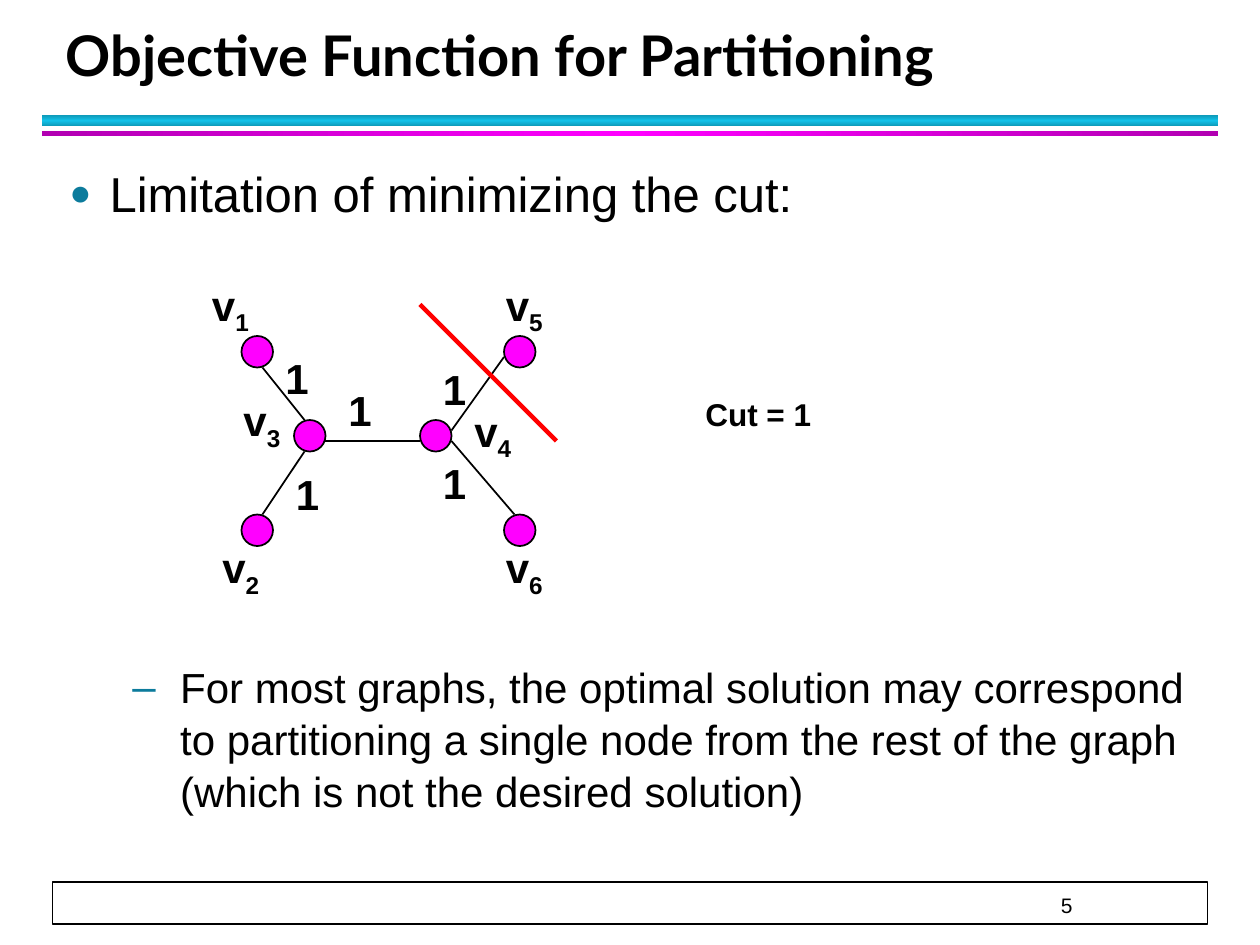
from copy import deepcopy

from lxml.etree import SubElement as Sub
from pptx import Presentation
from pptx.dml.color import RGBColor
from pptx.enum.shapes import MSO_CONNECTOR as Link, MSO_SHAPE as Form
from pptx.enum.text import MSO_ANCHOR as Anchor, MSO_AUTO_SIZE as Fit, PP_ALIGN as Align
from pptx.oxml.ns import qn
from pptx.util import Inches, Pt

BLACK = RGBColor(0, 0, 0)
WHITE = RGBColor(255, 255, 255)
RED = RGBColor(255, 0, 0)
PINK = RGBColor(255, 0, 255)
PLUM = RGBColor(0xB2, 0, 0xB2)
TEAL = RGBColor(0x0E, 0x9B, 0xBA)
AQUA = RGBColor(0x12, 0xC2, 0xE9)
MARK = RGBColor(0x0C, 0x7B, 0x9C)
CELL = Inches(1) / 12

NODES = {
    "1": (23, 32, 19, 26), "3": (28, 40, 22, 37), "2": (23, 49, 20, 51),
    "5": (48, 32, 47, 26), "4": (40, 40, 44, 38), "6": (48, 49, 47, 51),
}
EDGES = [
    (29, 40, 25, 35), (29, 43, 25, 49), (43, 42, 49, 49),
    (43, 41, 48, 34), (31, 42, 40, 42),
]
COSTS = [(26, 33), (27, 44), (41, 34), (41, 43), (32, 36)]


def grid(*cells):
    """Turn grid cells, twelve to the inch, into lengths."""
    return [round(cell * CELL) for cell in cells]


def style(para, size, bold=False, face="Arial"):
    """Set the font of a paragraph."""
    font = para.font
    font.name, font.size, font.bold = face, Pt(size), bold
    font.color.rgb = BLACK


def shape(slide, form, box, fill):
    """Add a filled shape with a thin black outline."""
    item = slide.shapes.add_shape(form, *grid(*box))
    item.shadow.inherit = False
    item.fill.solid()
    item.fill.fore_color.rgb = fill
    item.line.color.rgb = BLACK
    item.line.width = Pt(1)
    return item


def band(slide, box, edge, core, angle):
    """Add a bar that shades from edge to core and back."""
    item = shape(slide, Form.RECTANGLE, box, core)
    item.line.fill.background()
    item.fill.gradient()
    item.fill.gradient_angle = angle
    first = next(item.element.iter(qn("a:gs")))
    first.addnext(deepcopy(first))
    for stop, tint, place in zip(item.fill.gradient_stops, (edge, core, edge), (0, 0.5, 1)):
        stop.color.rgb = tint
        stop.position = place


def line(slide, ends, color=BLACK, width=1):
    """Add a straight line between two grid points."""
    item = slide.shapes.add_connector(Link.STRAIGHT, *grid(*ends))
    item.line.color.rgb = color
    item.line.width = Pt(width)
    Sub(item.element.spPr, qn("a:effectLst"))


def label(slide, box, text, sub="", size=24):
    """Add a bold label with an optional subscript."""
    frame = slide.shapes.add_textbox(*grid(*box)).text_frame
    frame.word_wrap = True
    para = frame.paragraphs[0]
    para.space_before = Pt(2)
    style(para, size, True)
    para.add_run().text = text
    if sub:
        run = para.add_run()
        run.text = sub
        run.font._element.set("baseline", "-25000")


def place(item, box):
    """Move a placeholder and keep its text at full size."""
    item.left, item.top, item.width, item.height = [Inches(n) for n in box]
    item.text_frame.auto_size = Fit.NONE
    return item.text_frame


def title(slide, text):
    """Fill the title placeholder."""
    frame = place(slide.shapes.title, (0.42, 0.17, 9.06, 0.58))
    frame.vertical_anchor = Anchor.BOTTOM
    frame.text = text
    para = frame.paragraphs[0]
    para.alignment = Align.LEFT
    para.line_spacing = Pt(36)
    style(para, 32, True, "Lato")


def point(para, text, size, sign, left, hang, gap, scale=100):
    """Write a bulleted paragraph."""
    para.text = text
    props = para._p.get_or_add_pPr()
    props.set("marL", str(Inches(left)))
    props.set("indent", str(-Inches(hang)))
    Sub(Sub(props, qn("a:buClr")), qn("a:srgbClr"), val=str(MARK))
    Sub(props, qn("a:buSzPct"), val=str(scale * 1000))
    Sub(props, qn("a:buFont"), typeface="Arial")
    Sub(props, qn("a:buChar"), char=sign)
    para.space_before, para.space_after = Pt(gap), Pt(4)
    style(para, size)


def body(slide):
    """Fill the body placeholder, leaving room for the graph."""
    frame = place(slide.placeholders[1], (0.45, 1.25, 9.1, 5.67))
    point(frame.paragraphs[0], "Limitation of minimizing the cut:",
          28, "●", 0.32, 0.32, 2.8, 75)
    para = frame.add_paragraph()
    para.level = 1
    point(para, "For most graphs, the optimal solution may correspond to "
          "partitioning a single node from the rest of the graph "
          "(which is not the desired solution)", 24, "–", 0.88, 0.38, 246)
    para.line_spacing = 1.03


def footer(slide, text):
    """Add the framed footer with the page number."""
    frame = shape(slide, Form.RECTANGLE, (5, 84, 110, 4), WHITE).text_frame
    frame.margin_right, frame.margin_bottom = Inches(1.07), Inches(0.05)
    frame.vertical_anchor = Anchor.BOTTOM
    frame.text = text
    para = frame.paragraphs[0]
    para.alignment = Align.RIGHT
    style(para, 12)


def graph(slide):
    """Draw the nodes, edges, weights and the cut."""
    for edge in EDGES:
        line(slide, edge)
    for name, (col, row, left, top) in NODES.items():
        shape(slide, Form.OVAL, (col, row, 3, 3), PINK)
        label(slide, (left, top, 8, 6), "v", name)
    for col, row in COSTS:
        label(slide, (col, row, 6, 6), "1")
    line(slide, (53, 42, 40, 29), RED, 2.5)
    label(slide, (66, 37, 19, 4.8), "Cut = 1", size=18)


def main():
    """Build and save the slide."""
    deck = Presentation()
    deck.slide_width, deck.slide_height = Inches(10), Inches(7.5)
    slide = deck.slides.add_slide(deck.slide_layouts[1])
    title(slide, "Objective Function for Partitioning")
    body(slide)
    band(slide, (4, 11, 112, 1), TEAL, AQUA, 90)
    band(slide, (4, 12.5, 112, 0.5), PLUM, PINK, 0)
    footer(slide, "5")
    graph(slide)
    deck.save("out.pptx")


if __name__ == "__main__":
    main()
